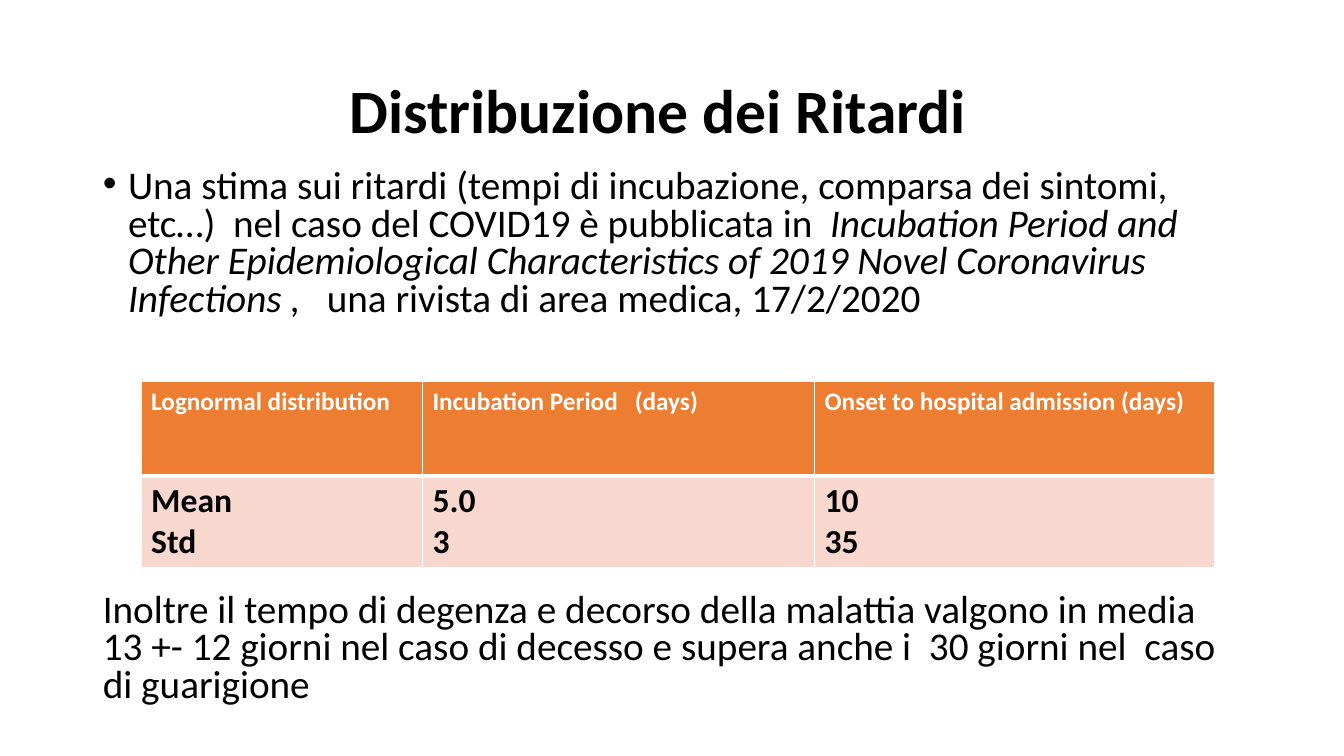
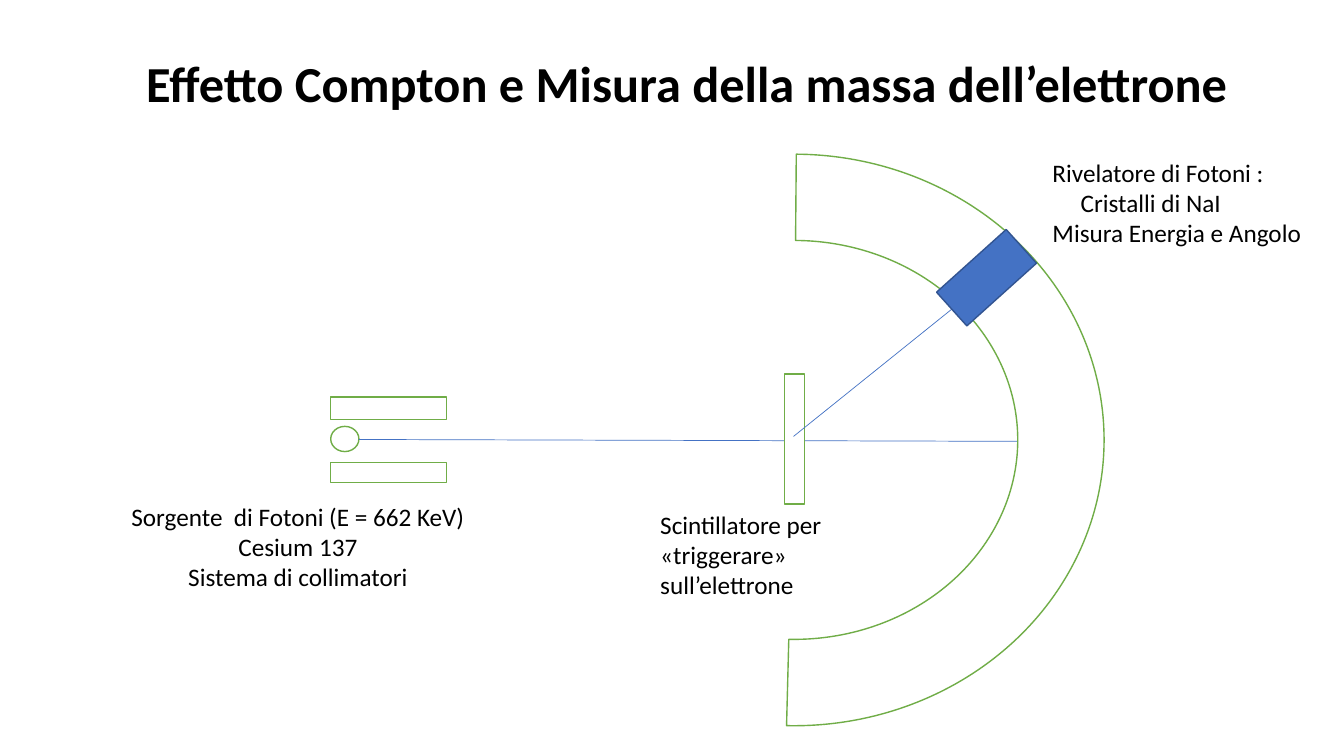
from lxml.etree import SubElement
from pptx import Presentation
from pptx.dml.color import RGBColor
from pptx.enum.shapes import MSO_CONNECTOR, MSO_SHAPE
from pptx.enum.text import MSO_ANCHOR, MSO_AUTO_SIZE, PP_ALIGN
from pptx.oxml.ns import qn
from pptx.util import Inches, Pt

COLORS = {
    "text": "000000",
    "white": "FFFFFF",
    "header": "ED7D31",
    "row": "F8D7CE",
    "apparatus": "70AD47",
    "photon": "4472C4",
    "detector_edge": "325491",
}
FONT = "Calibri"


def color(name):
    """Return the palette colour with this name."""
    return RGBColor.from_string(COLORS[name])


def place(element, left, top, width, height):
    """Move and size an element, in inches."""
    element.left, element.top = Inches(left), Inches(top)
    element.width, element.height = Inches(width), Inches(height)


def style(font, size, name="text", bold=False):
    """Apply the deck's font with a size, colour and weight."""
    font.name, font.size, font.bold = FONT, Pt(size), bold
    font.color.rgb = color(name)


def set_indent(paragraph, left, first, bullet=None):
    """Set the indents in inches and a bullet, or no bullet."""
    props = paragraph._p.get_or_add_pPr()
    props.set("marL", str(Inches(left)))
    props.set("indent", str(Inches(first)))
    if bullet:
        SubElement(props, qn("a:buChar")).set("char", bullet)
    else:
        SubElement(props, qn("a:buNone"))


def add_title(slide, text, size, box, align):
    """Fill the title placeholder in the shared bold style."""
    title = slide.shapes.title
    place(title, *box)
    frame = title.text_frame
    frame.text = text
    frame.auto_size = MSO_AUTO_SIZE.NONE
    frame.vertical_anchor = MSO_ANCHOR.MIDDLE
    paragraph = frame.paragraphs[0]
    paragraph.alignment, paragraph.line_spacing = align, 0.9
    style(paragraph.font, size, bold=True)


def add_body(slide, citation, closing, gap):
    """Write the bulleted citation and, below a gap in points, the closing text."""
    body = slide.placeholders[1]
    place(body, 0.92, 1.63, 11.5, 5.54)
    frame = body.text_frame
    frame.auto_size = MSO_AUTO_SIZE.NONE
    bulleted, plain = frame.paragraphs[0], frame.add_paragraph()
    for text, italic in citation:
        run = bulleted.add_run()
        run.text, run.font.italic = text, italic
    plain.text = closing
    for paragraph, before in ((bulleted, 10), (plain, gap)):
        paragraph.line_spacing, paragraph.space_before = 0.8, Pt(before)
        style(paragraph.font, 28)
    set_indent(bulleted, 0.25, -0.25, "•")
    set_indent(plain, 0, 0)


def set_borders(cell, bottom):
    """Draw white cell borders; only the bottom width varies."""
    props = cell._tc.get_or_add_tcPr()
    for index, (side, width) in enumerate(
            (("L", 1), ("R", 1), ("T", 1), ("B", bottom))):
        line = props.makeelement(qn(f"a:ln{side}"), {"w": str(Pt(width))})
        fill = SubElement(line, qn("a:solidFill"))
        SubElement(fill, qn("a:srgbClr")).set("val", COLORS["white"])
        props.insert(index, line)


def add_delay_table(slide, rows, widths, heights):
    """Add the table of delays, with a header row."""
    table = slide.shapes.add_table(
        len(rows), len(widths), Inches(1.4), Inches(3.78),
        Inches(sum(widths)), Inches(sum(heights))).table
    for column, width in zip(table.columns, widths):
        column.width = Inches(width)
    for index, (row, texts) in enumerate(zip(table.rows, rows)):
        row.height = Inches(heights[index])
        fill, ink, size, bottom = (
            ("row", "text", 24, 1) if index else ("header", "white", 18, 3))
        for cell, text in zip(row.cells, texts):
            cell.text = text
            cell.fill.solid()
            cell.fill.fore_color.rgb = color(fill)
            set_borders(cell, bottom)
            for paragraph in cell.text_frame.paragraphs:
                style(paragraph.font, size, ink, bold=True)


def add_part(slide, preset, box, fill="white", edge="apparatus", rotation=0):
    """Add one part of the apparatus."""
    part = slide.shapes.add_shape(preset, *map(Inches, box))
    part.shadow.inherit = False
    part.fill.solid()
    part.fill.fore_color.rgb = color(fill)
    part.line.color.rgb = color(edge)
    part.line.width = Pt(1)
    part.rotation = rotation
    return part


def add_ray(slide, start, end, arrow=False):
    """Draw a photon path, with an arrowhead on request."""
    ray = slide.shapes.add_connector(
        MSO_CONNECTOR.STRAIGHT, *map(Inches, start + end))
    ray.line.color.rgb = color("photon")
    ray.line.width = Pt(0.5)
    if arrow:
        SubElement(ray.line._get_or_add_ln(), qn("a:tailEnd")).set("type", "triangle")
    SubElement(ray._element.spPr, qn("a:effectLst"))


def add_label(slide, lines, box, align=PP_ALIGN.LEFT):
    """Add a wrapped label and return its paragraphs."""
    label = slide.shapes.add_textbox(*map(Inches, box))
    frame = label.text_frame
    frame.word_wrap = True
    frame.text = "\n".join(lines)
    for paragraph in frame.paragraphs:
        paragraph.alignment = align
        style(paragraph.font, 18)
    return frame.paragraphs


def build_delays(deck):
    """Build the slide on the distribution of delays."""
    slide = deck.slides.add_slide(deck.slide_layouts[1])
    add_title(slide, "Distribuzione dei Ritardi", 44,
              (0.78, 0.4, 11.5, 1.45), PP_ALIGN.CENTER)
    citation = (
        ("Una stima sui ritardi (tempi di incubazione, comparsa dei sintomi, "
         "etc…)  nel caso del COVID19 è pubblicata in  ", False),
        ("Incubation Period and Other Epidemiological Characteristics of 2019 "
         "Novel Coronavirus Infections ,   ", True),
        ("una rivista di area medica, 17/2/2020", False),
    )
    closing = ("Inoltre il tempo di degenza e decorso della malattia valgono in "
               "media 13 +- 12 giorni nel caso di decesso e supera anche i  "
               "30 giorni nel  caso di guarigione")
    add_body(slide, citation, closing, 195)
    add_delay_table(
        slide,
        (("Lognormal distribution", "Incubation Period   (days)",
          "Onset to hospital admission (days)"),
         ("Mean\nStd", "5.0\n3", "10\n35")),
        (2.79, 3.89, 3.97), (0.94, 0.9))


def build_compton(deck):
    """Build the slide with the Compton scattering apparatus."""
    slide = deck.slides.add_slide(deck.slide_layouts[5])
    add_title(slide, "Effetto Compton e Misura della massa dell’elettrone", 36,
              (1.35, 0.2, 11.5, 1.31), PP_ALIGN.LEFT)

    add_part(slide, MSO_SHAPE.OVAL, (3.28, 4.23, 0.28, 0.25))
    for top, height in ((4.59, 0.2), (3.94, 0.22)):
        add_part(slide, MSO_SHAPE.RECTANGLE, (3.28, top, 1.15, height))
    add_ray(slide, (3.56, 4.36), (10.64, 4.38))
    add_part(slide, MSO_SHAPE.RECTANGLE, (7.78, 3.71, 0.2, 1.29))
    goniometer = add_part(slide, MSO_SHAPE.BLOCK_ARC,
                          (5.04, 1.29, 5.67, 6.15), rotation=90)
    for index, value in enumerate((108.271, 0.901, 0.151)):
        goniometer.adjustments[index] = value
    add_ray(slide, (7.87, 4.33), (9.71, 2.85), arrow=True)
    add_part(slide, MSO_SHAPE.RECTANGLE, (9.32, 2.53, 0.93, 0.45),
             "photon", "detector_edge", 318)

    add_label(slide, ("Sorgente  di Fotoni (E = 662 KeV) Cesium 137",
                      "Sistema di collimatori"),
              (1.11, 4.92, 3.69, 1.01), PP_ALIGN.CENTER)
    add_label(slide, ("Scintillatore per «triggerare» sull’elettrone",),
              (6.45, 5, 2.04, 1.01))
    detector_lines = add_label(
        slide, ("Rivelatore di Fotoni :", "Cristalli di NaI",
                "Misura Energia e Angolo"), (10.34, 1.51, 2.72, 1.01))
    set_indent(detector_lines[1], 0.28, 0)


def main():
    """Build and save the deck."""
    deck = Presentation()
    deck.slide_width, deck.slide_height = Inches(13.33), Inches(7.5)
    build_delays(deck)
    build_compton(deck)
    deck.save("out.pptx")


main()
